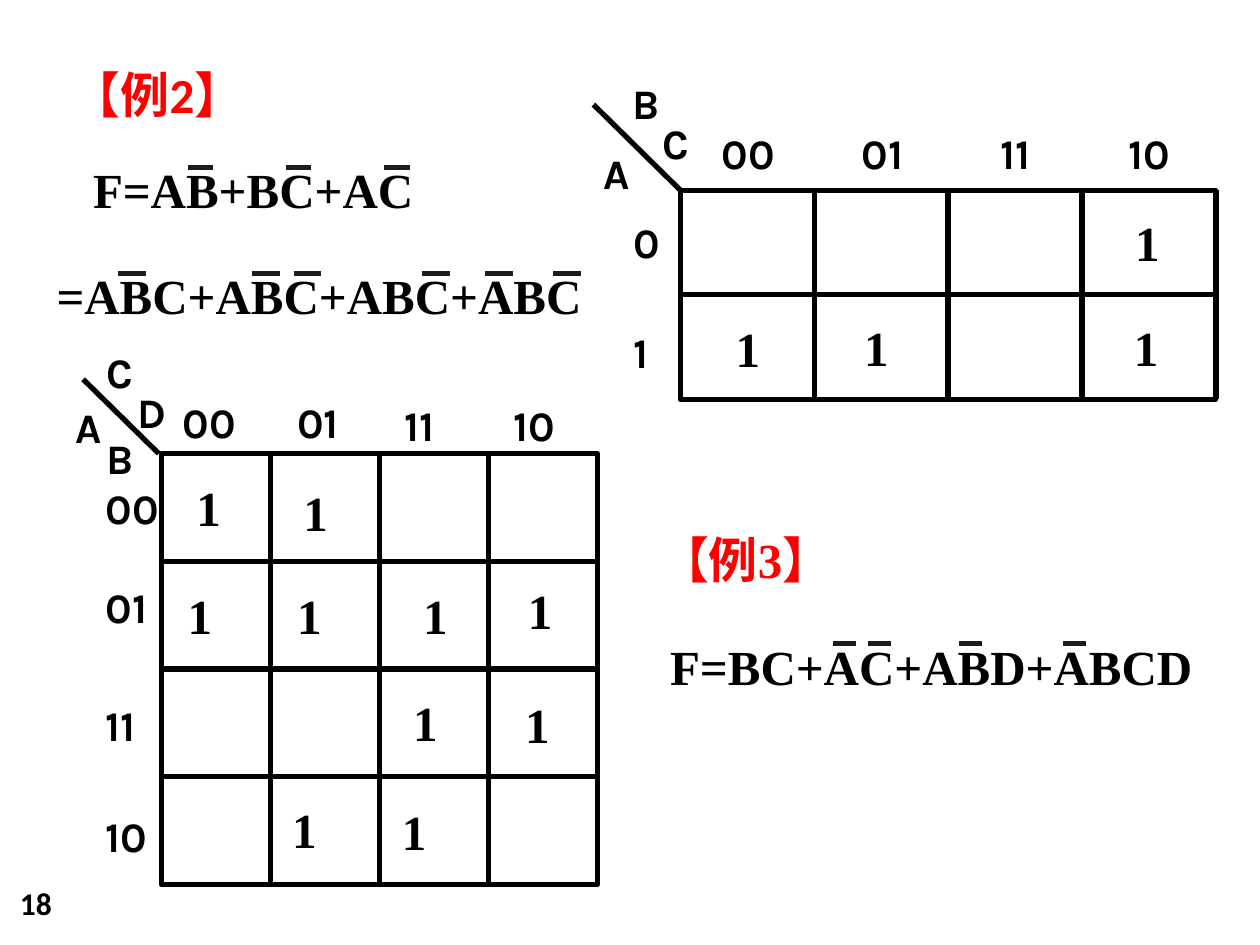
from dataclasses import dataclass

from lxml.etree import SubElement
from pptx import Presentation
from pptx.dml.color import RGBColor as Rgb
from pptx.enum.shapes import MSO_CONNECTOR as Connector, MSO_SHAPE as Preset
from pptx.oxml.ns import qn
from pptx.slide import Slide
from pptx.util import Inches, Pt


@dataclass(frozen=True)
class Theme:
    ink: Rgb = Rgb(0, 0, 0)
    bar: Rgb = Rgb(0x1C, 0x1C, 0x1C)
    heading: Rgb = Rgb(0xFF, 0, 0)
    serif: str = "Times New Roman"
    sans: str = "Calibri"
    label: str = "Karla"
    large: int = 28
    medium: int = 24
    small: int = 18
    rule: int = 3


THEME = Theme()


@dataclass(frozen=True)
class Words:
    text: str
    left: float
    top: float
    width: float = 0.63
    height: float = 0.5
    font: str = THEME.label
    size: int = THEME.medium
    color: Rgb = THEME.ink


@dataclass(frozen=True)
class Formula:
    text: str
    left: float
    top: float
    width: float
    bar_width: float
    bar_starts: tuple[float, ...]


@dataclass(frozen=True)
class KarnaughMap:
    left: float
    top: float
    cell_width: float
    cell_height: float
    rows: int
    columns: int
    corner: tuple[float, float, float, float]
    variables: tuple[Words, ...]
    codes: tuple[Words, ...]
    ones: tuple[tuple[float, float], ...]
    one_width: float


HEADINGS = (
    Words("18", 0.06, 6.97, 0.99, 0.37, THEME.sans, THEME.small),
    Words("【例2】", 0.47, 0.46, 2.08, 0.53, THEME.sans, THEME.large, THEME.heading),
    Words("【例3】", 5.14, 4.15, 1.91, 0.57, THEME.serif, THEME.large, THEME.heading),
)

FORMULAS = (
    Formula("F=AB+BC+AC", 0.64, 1.22, 2.83, 0.2, (1.49, 2.27, 3.05)),
    Formula("=ABC+ABC+ABC+ABC", 0.35, 2.06, 4.58, 0.22,
            (0.94, 2, 2.33, 3.35, 3.85, 4.39)),
    Formula("F=BC+AC+ABD+ABCD", 5.22, 5, 4.48, 0.18, (6.61, 6.89, 7.61, 8.44)),
)

THREE_VARIABLES = KarnaughMap(
    5.4, 1.51, 1.0625, 0.83, 2, 4, (4.71, 0.83, 5.4, 1.51),
    variables=(Words("B", 4.92, 0.57, 0.47), Words("C", 5.16, 0.88, 0.47),
               Words("A", 4.69, 1.12, 0.47)),
    codes=(Words("00", 5.63, 0.96), Words("01", 6.74, 0.96),
           Words("11", 7.84, 0.96), Words("10", 8.86, 0.96),
           Words("0", 4.93, 1.67), Words("1", 4.93, 2.54)),
    ones=((8.91, 1.64), (5.74, 2.48), (6.76, 2.47), (8.9, 2.47)),
    one_width=0.61,
)

FOUR_VARIABLES = KarnaughMap(
    1.28, 3.6, 0.865, 0.855, 4, 4, (1.26, 3.6, 0.66, 3.01),
    variables=(Words("C", 0.75, 2.7, 0.47), Words("D", 0.99, 3.02, 0.47),
               Words("A", 0.5, 3.14, 0.47), Words("B", 0.75, 3.38, 0.47)),
    codes=(Words("00", 1.35, 3.1), Words("01", 2.26, 3.1),
           Words("11", 3.11, 3.12), Words("10", 3.98, 3.12),
           Words("00", 0.74, 3.78), Words("01", 0.74, 4.57),
           Words("11", 0.74, 5.5), Words("10", 0.74, 6.38)),
    ones=((1.46, 3.74), (2.31, 3.78),
          (1.39, 4.6), (2.26, 4.6), (3.26, 4.6), (4.09, 4.56),
          (3.18, 5.45), (4.07, 5.46),
          (2.22, 6.3), (3.09, 6.31)),
    one_width=0.65,
)


def write(slide: Slide, words: Words) -> None:
    """Place one bold line of text."""
    box = slide.shapes.add_textbox(Inches(words.left), Inches(words.top),
                                   Inches(words.width), Inches(words.height))
    box.text_frame.word_wrap = True
    paragraph = box.text_frame.paragraphs[0]
    paragraph.text = words.text
    font = paragraph.font
    font.name, font.size, font.bold = words.font, Pt(words.size), True
    font.color.rgb = words.color


def rule(slide: Slide, x1: float, y1: float, x2: float, y2: float,
         color: Rgb = THEME.ink) -> None:
    """Draw a straight line without a shadow."""
    line = slide.shapes.add_connector(Connector.STRAIGHT, Inches(x1), Inches(y1),
                                      Inches(x2), Inches(y2))
    line.line.color.rgb = color
    line.line.width = Pt(THEME.rule)
    SubElement(line._element.spPr, qn("a:effectLst"))


def cell(slide: Slide, left: float, top: float, width: float, height: float) -> None:
    """Draw one unfilled map cell."""
    square = slide.shapes.add_shape(Preset.RECTANGLE, Inches(left), Inches(top),
                                    Inches(width), Inches(height))
    square.shadow.inherit = False
    square.fill.background()
    square.line.color.rgb = THEME.ink
    square.line.width = Pt(THEME.rule)


def draw_formula(slide: Slide, formula: Formula) -> None:
    """Write a formula and the bars over its negated letters."""
    write(slide, Words(formula.text, formula.left, formula.top, formula.width, 0.57,
                       THEME.serif, THEME.large))
    bar_top = formula.top + 0.11
    for start in formula.bar_starts:
        rule(slide, start, bar_top, start + formula.bar_width, bar_top, THEME.bar)


def draw_map(slide: Slide, kmap: KarnaughMap) -> None:
    """Draw the grid, corner, codes and ones of a Karnaugh map."""
    xs = [kmap.left + i * kmap.cell_width for i in range(kmap.columns + 1)]
    ys = [kmap.top + i * kmap.cell_height for i in range(kmap.rows + 1)]
    for y in ys[:-1]:
        for x in xs[:-1]:
            cell(slide, x, y, kmap.cell_width, kmap.cell_height)
    for y in ys:
        rule(slide, xs[0], y, xs[-1], y)
    for x in xs:
        rule(slide, x, ys[0], x, ys[-1])
    rule(slide, *kmap.corner)
    for words in kmap.variables + kmap.codes:
        write(slide, words)
    for left, top in kmap.ones:
        write(slide, Words("1", left, top, kmap.one_width, 0.57,
                           THEME.serif, THEME.large))


def main() -> None:
    """Build the slide and save it."""
    deck = Presentation()
    deck.slide_width, deck.slide_height = Inches(10), Inches(7.5)
    slide = deck.slides.add_slide(deck.slide_layouts[6])
    for heading in HEADINGS:
        write(slide, heading)
    for formula in FORMULAS:
        draw_formula(slide, formula)
    for kmap in (THREE_VARIABLES, FOUR_VARIABLES):
        draw_map(slide, kmap)
    deck.save("out.pptx")


if __name__ == "__main__":
    main()
